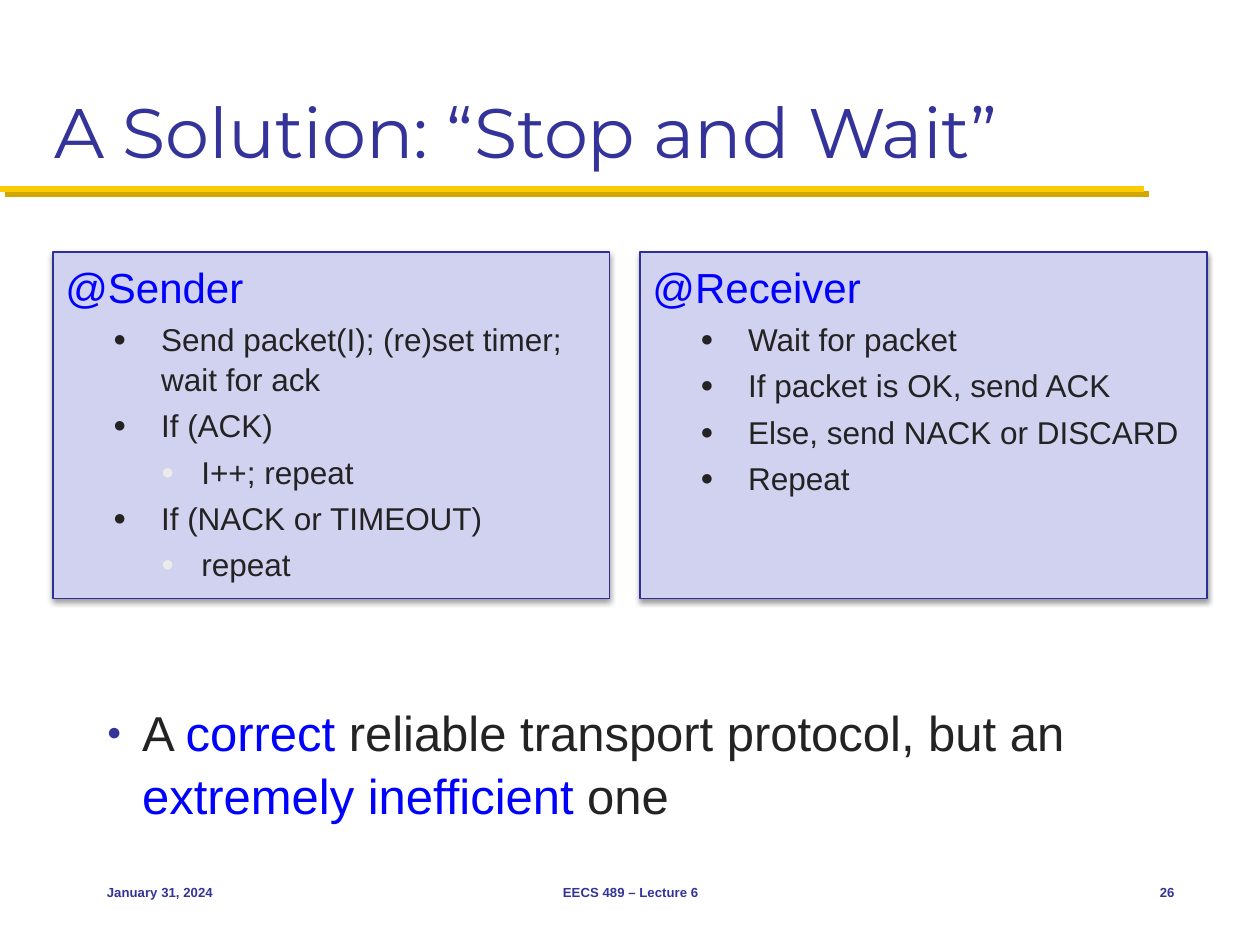
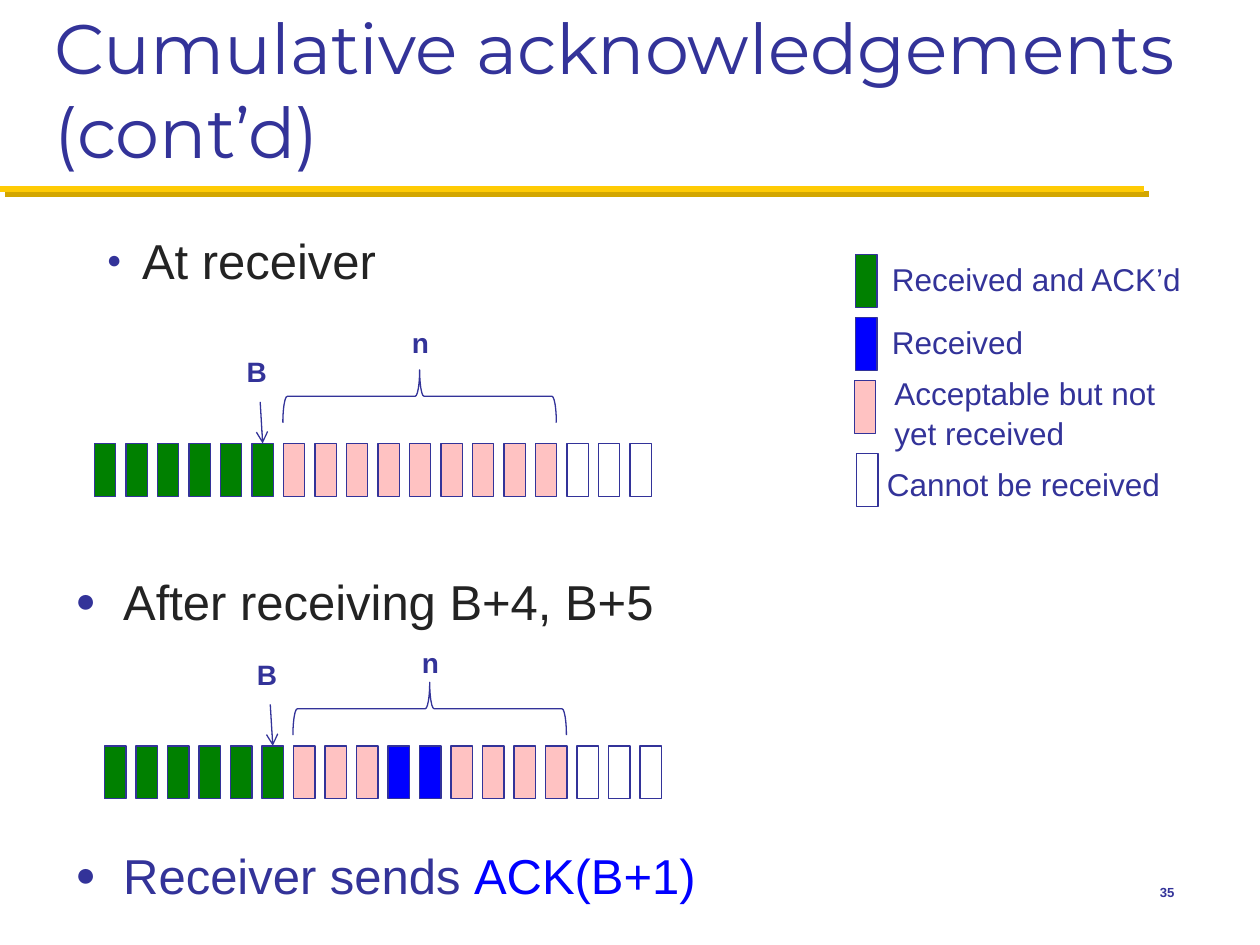
from lxml import etree
from pptx import Presentation
from pptx import util as u
from pptx.dml.color import RGBColor
from pptx.enum import shapes, text
from pptx.oxml import ns

NAVY, BLUE, INK, PALE = "333399", "0000FF", "232323", "EBEBEB"
GOLD, GOLD_SHADOW = "FFCB05", "D3A600"
PANEL_FILL, PANEL_LINE = "D1D1F0", "2F2F98"
GREEN, PINK, WHITE = "008000", "FFC2C2", "FFFFFF"
PACKET_WIDTH, PACKET_HEIGHT, PACKET_STEP = 0.17, 0.42, 0.25
PACKET_COLOURS = {"g": GREEN, "p": PINK, "b": BLUE, "w": WHITE}


def colour(hex_string):
    """Turn a hex string into a colour."""
    return RGBColor.from_string(hex_string)


def inches(*lengths):
    """Convert several lengths to Inches."""
    return [u.Inches(length) for length in lengths]


def add_effects(shape, shadow=None):
    """Give a shape an outer shadow (hex, opacity, blur, distance, angle) or none."""
    effects = etree.SubElement(shape._element.spPr, ns.qn("a:effectLst"))
    if shadow:
        hex_string, opacity, blur, distance, angle = shadow
        outer = etree.SubElement(effects, ns.qn("a:outerShdw"), blurRad=str(u.Pt(blur)),
                                 dist=str(u.Pt(distance)), dir=str(angle * 60000),
                                 algn="tl", rotWithShape="0")
        value = etree.SubElement(outer, ns.qn("a:srgbClr"), val=hex_string)
        etree.SubElement(value, ns.qn("a:alpha"), val=str(opacity * 1000))


def add_bullet(paragraph, hex_string, percent, margin, hanging):
    """Give a paragraph a round bullet with a hanging indent."""
    properties = paragraph._p.get_or_add_pPr()
    properties.set("marL", str(u.Inches(margin)))
    properties.set("indent", str(-u.Inches(hanging)))
    holder = etree.SubElement(properties, ns.qn("a:buClr"))
    etree.SubElement(holder, ns.qn("a:srgbClr"), val=hex_string)
    etree.SubElement(properties, ns.qn("a:buSzPct"), val=str(percent * 1000))
    etree.SubElement(properties, ns.qn("a:buFont"), typeface="Arial")
    etree.SubElement(properties, ns.qn("a:buChar"), char="●")


def write_runs(paragraph, runs, size, bold=False):
    """Write (text, colour) runs in Arial."""
    paragraph.line_spacing = 1.06
    for words, hex_string in runs:
        run = paragraph.add_run()
        run.text = words
        run.font.name = "Arial"
        run.font.size = u.Pt(size)
        run.font.bold = bold
        run.font.color.rgb = colour(hex_string)


def add_text(slide, box, runs, size, bold=False, wrap=True,
             align=text.PP_ALIGN.LEFT, anchor=text.MSO_ANCHOR.TOP):
    """Add a one-paragraph text box and return its paragraph."""
    frame = slide.shapes.add_textbox(*inches(*box)).text_frame
    frame.word_wrap = wrap
    frame.vertical_anchor = anchor
    paragraph = frame.paragraphs[0]
    paragraph.alignment = align
    write_runs(paragraph, runs, size, bold)
    return paragraph


def add_statement(slide, box, runs, percent, hanging):
    """Add a large bulleted statement."""
    paragraph = add_text(slide, box, runs, 28)
    add_bullet(paragraph, NAVY, percent, hanging, hanging)


def add_rectangle(slide, box, fill, line):
    """Add a filled rectangle with a thin outline."""
    shape = slide.shapes.add_shape(shapes.MSO_SHAPE.RECTANGLE, *inches(*box))
    shape.fill.solid()
    shape.fill.fore_color.rgb = colour(fill)
    shape.line.color.rgb = colour(line)
    shape.line.width = u.Pt(0.75)
    return shape


def add_line(slide, start, end, hex_string, width, shadow=None):
    """Add a straight connector between two points."""
    line = slide.shapes.add_connector(shapes.MSO_CONNECTOR.STRAIGHT, *inches(*start, *end))
    line.line.color.rgb = colour(hex_string)
    line.line.width = u.Pt(width)
    add_effects(line, shadow)
    return line


def add_footer(slide, left, width, words, align):
    """Add one footer field."""
    add_text(slide, (left, 6.83, width, 0.5), [(words, NAVY)], 7.5, True,
             align=align, anchor=text.MSO_ANCHOR.MIDDLE)


def start_slide(presentation, title, number):
    """Add a slide with the shared title, gold rule and slide number."""
    slide = presentation.slides.add_slide(presentation.slide_layouts[5])
    add_line(slide, (0, 1.5), (9.08, 1.5), GOLD, 3.5, (GOLD_SHADOW, 100, 0, 4.2, 45))
    shape = slide.shapes.title
    shape.left, shape.top, shape.width, shape.height = inches(0.33, 0.17, 9.33, 1.25)
    frame = shape.text_frame
    frame.text = title
    frame.auto_size = text.MSO_AUTO_SIZE.NONE
    frame.word_wrap = True
    frame.vertical_anchor = text.MSO_ANCHOR.BOTTOM
    paragraph = frame.paragraphs[0]
    paragraph.alignment = text.PP_ALIGN.LEFT
    font = paragraph.runs[0].font
    font.name, font.size = "Montserrat", u.Pt(40)
    font.color.rgb = colour(NAVY)
    add_footer(slide, 8.75, 0.67, number, text.PP_ALIGN.RIGHT)
    return slide


def add_panel(slide, box, heading, steps):
    """Add a shadowed panel with a heading and (level, text) steps."""
    panel = add_rectangle(slide, box, PANEL_FILL, PANEL_LINE)
    add_effects(panel, ("000000", 38, 3.1, 1.6, 90))
    frame = panel.text_frame
    frame.word_wrap = True
    frame.vertical_anchor = text.MSO_ANCHOR.TOP
    frame.paragraphs[0].alignment = text.PP_ALIGN.LEFT
    write_runs(frame.paragraphs[0], [(heading, BLUE)], 24)
    bullets = {1: (INK, 70, 0.76, 0.38), 2: (PALE, 70, 1.08, 0.32)}
    for level, words in steps:
        paragraph = frame.add_paragraph()
        paragraph.level = level
        paragraph.alignment = text.PP_ALIGN.LEFT
        paragraph.space_before = u.Pt(3.6)
        write_runs(paragraph, [(words, INK)], 18)
        add_bullet(paragraph, *bullets[level])


def add_packet(slide, left, top, fill):
    """Add one packet cell."""
    packet = add_rectangle(slide, (left, top, PACKET_WIDTH, PACKET_HEIGHT), fill, NAVY)
    packet.shadow.inherit = False
    return packet


def add_window(slide, left, top, pattern, brace_rise, label_rise):
    """Add a packet row with its B arrow and the brace over the n-packet window."""
    packets = [add_packet(slide, left + index * PACKET_STEP, top, PACKET_COLOURS[key])
               for index, key in enumerate(pattern)]
    last_acked = pattern.rindex("g")
    brace = slide.shapes.add_shape(shapes.MSO_SHAPE.LEFT_BRACE, *inches(
        left + 2.37, top - brace_rise, 0.42, 2.17))
    brace.rotation = 90
    brace.shadow.inherit = False
    brace.fill.background()
    brace.line.color.rgb = colour(NAVY)
    brace.line.width = u.Pt(0.75)
    for label, offset, rise in (("n", 2.42, label_rise), ("B", 1.11, 0.77)):
        add_text(slide, (left + offset, top - rise, 0.37, 0.44), [(label, NAVY)], 16,
                 bold=True, wrap=False)
    tip = left + last_acked * PACKET_STEP + PACKET_WIDTH / 2
    arrow = add_line(slide, (tip - 0.02, top - 0.33), (tip, top), NAVY, 0.75)
    arrow.end_connect(packets[last_acked], 0)
    etree.SubElement(arrow.line._get_or_add_ln(), ns.qn("a:tailEnd"), type="arrow")


def add_legend(slide, left, top):
    """Add the key to the packet colours."""
    entries = [
        (GREEN, "Received and ACK’d", 0.01, 0.02, 0.2, 0),
        (BLUE, "Received", 0.01, 0.52, 0.2, 0.5),
        (PINK, "Acceptable but not yet received", 0, 1.02, 0.22, 0.9),
        (WHITE, "Cannot be received", 0.02, 1.6, 0.16, 1.62),
    ]
    for fill, words, packet_x, packet_y, label_x, label_y in entries:
        add_packet(slide, left + packet_x, top + packet_y, fill)
        add_text(slide, (left + label_x, top + label_y, 2.55, 0.4), [(words, NAVY)], 18)


def build_stop_and_wait(presentation):
    """Build the stop-and-wait slide."""
    slide = start_slide(presentation, "A Solution: “Stop and Wait”", "26")
    add_panel(slide, (0.42, 2, 4.42, 2.75), "@Sender", [
        (1, "Send packet(I); (re)set timer; wait for ack"),
        (1, "If (ACK)"),
        (2, "I++; repeat"),
        (1, "If (NACK or TIMEOUT)"),
        (2, "repeat"),
    ])
    add_panel(slide, (5.08, 2, 4.5, 2.75), "@Receiver", [
        (1, "Wait for packet"),
        (1, "If packet is OK, send ACK"),
        (1, "Else, send NACK or DISCARD"),
        (1, "Repeat"),
    ])
    add_statement(slide, (0.75, 5.5, 8.83, 1.08), [
        ("A ", INK), ("correct", BLUE), (" reliable transport protocol, but an ", INK),
        ("extremely inefficient ", BLUE), ("one", INK)], 50, 0.28)
    add_footer(slide, 0.75, 2.08, "January 31, 2024", text.PP_ALIGN.LEFT)
    add_footer(slide, 3.42, 3.17, "EECS 489 – Lecture 6", text.PP_ALIGN.CENTER)


def build_cumulative_acks(presentation):
    """Build the cumulative acknowledgements slide."""
    slide = start_slide(presentation, "Cumulative acknowledgements (cont’d)", "35")
    add_statement(slide, (0.75, 1.75, 5, 0.62), [("At receiver", INK)], 50, 0.28)
    add_window(slide, 0.75, 3.52, "ggggggpppppppppwww", 1.46, 1)
    add_statement(slide, (0.5, 4.46, 9, 0.62), [("After receiving B+4, B+5", INK)], 70, 0.38)
    add_window(slide, 0.83, 5.92, "ggggggpppbbppppwww", 1.38, 0.86)
    add_statement(slide, (0.5, 6.63, 8, 0.62),
                  [("Receiver sends ", NAVY), ("ACK(B+1)", BLUE)], 70, 0.38)
    add_legend(slide, 6.78, 2)


def main():
    """Build and save the presentation."""
    presentation = Presentation()
    presentation.slide_width, presentation.slide_height = inches(10, 7.5)
    build_stop_and_wait(presentation)
    build_cumulative_acks(presentation)
    presentation.save("out.pptx")


if __name__ == "__main__":
    main()
